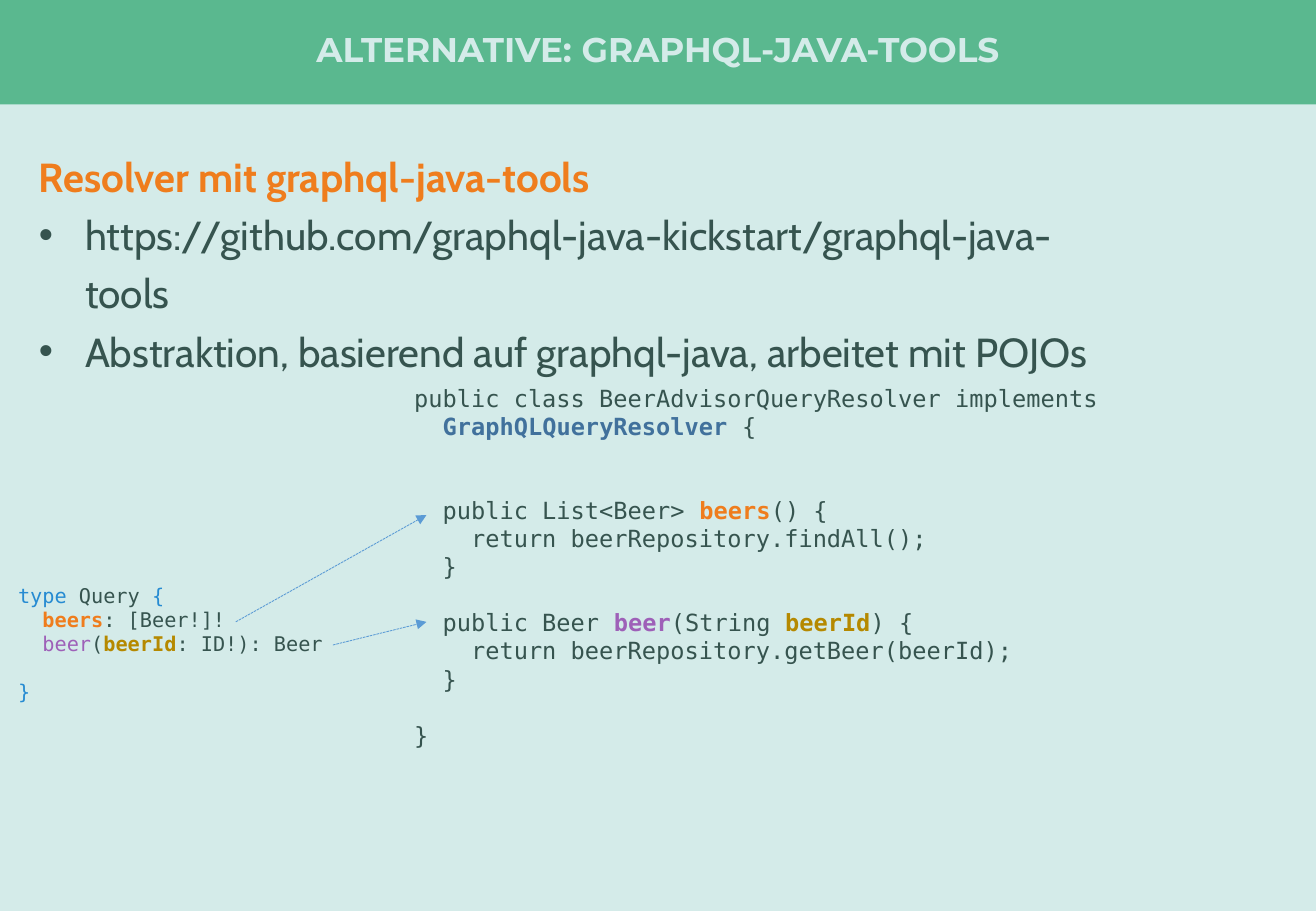
from lxml import etree
from pptx import Presentation
from pptx import util as u
from pptx.dml import color
from pptx.enum import dml, shapes, text
from pptx.oxml import ns

MINT = color.RGBColor(0xD4, 0xEB, 0xE9)
GREEN = color.RGBColor(0x5A, 0xB8, 0x8F)
ORANGE = color.RGBColor(0xEF, 0x7D, 0x1D)
DARK = color.RGBColor(0x36, 0x54, 0x4F)
BLUE = color.RGBColor(0x26, 0x8B, 0xD2)
STEEL = color.RGBColor(0x41, 0x71, 0x9C)
PURPLE = color.RGBColor(0x9E, 0x60, 0xB8)
GOLD = color.RGBColor(0xB5, 0x89, 0x00)
ARROW = color.RGBColor(0x5B, 0x9B, 0xD5)


def add_span(para, words, font="DejaVu Sans Mono", size=14, shade=DARK, bold=False):
    span = para.add_run()
    span.text = words
    span.font.name = font
    span.font.size = u.Pt(size)
    span.font.color.rgb = shade
    span.font.bold = bold


def place(box, left, top, width, height):
    box.left, box.top = u.Inches(left), u.Inches(top)
    box.width, box.height = u.Inches(width), u.Inches(height)


deck = Presentation()
deck.slide_width, deck.slide_height = u.Inches(10.83), u.Inches(7.5)
page = deck.slides.add_slide(deck.slide_layouts[1])
page.background.fill.solid()
page.background.fill.fore_color.rgb = MINT

band = page.shapes.add_shape(shapes.MSO_SHAPE.RECTANGLE, 0, 0, deck.slide_width, u.Inches(0.86))
band.shadow.inherit = False
band.fill.solid()
band.fill.fore_color.rgb = GREEN
band.line.fill.background()
page.shapes.title._element.addprevious(band._element)

title = page.shapes.title
place(title, 0, 0, 10.83, 0.85)
frame = title.text_frame
frame.margin_left = frame.margin_right = frame.margin_top = frame.margin_bottom = 0
frame.vertical_anchor = text.MSO_ANCHOR.MIDDLE
frame.auto_size = text.MSO_AUTO_SIZE.NONE
para = frame.paragraphs[0]
para.alignment = text.PP_ALIGN.CENTER
para.line_spacing = 0.9
add_span(para, "ALTERNATIVE: GRAPHQL-JAVA-TOOLS", font="Montserrat", size=20.3, shade=MINT, bold=True)

body = page.placeholders[1]
place(body, 0.22, 1.12, 9.19, 2.02)
frame = body.text_frame
frame.auto_size = text.MSO_AUTO_SIZE.NONE
points = [
    "Resolver mit graphql-java-tools",
    "https://github.com/graphql-java-kickstart/graphql-java-tools",
    "Abstraktion, basierend auf graphql-java, arbeitet mit POJOs",
]
for index, point in enumerate(points):
    heading = index == 0
    para = frame.paragraphs[0] if heading else frame.add_paragraph()
    para.line_spacing = 1.2
    para.space_before = u.Pt(0)
    indent = 0 if heading else u.Inches(0.38)
    settings = para._p.get_or_add_pPr()
    settings.set("marL", str(indent))
    settings.set("indent", str(-indent))
    if heading:
        etree.SubElement(settings, ns.qn("a:buNone"))
    else:
        etree.SubElement(settings, ns.qn("a:buFont"), typeface="Arial")
        etree.SubElement(settings, ns.qn("a:buChar"), char="•")
    add_span(para, point, font="Cabin", size=24, shade=ORANGE if heading else DARK, bold=heading)

schema = [
    (0, [("type ", BLUE, False), ("Query ", DARK, False), ("{", BLUE, False)]),
    (0, [("  ", DARK, False), ("beers", ORANGE, True), (": [Beer!]!", DARK, False)]),
    (0, [("  ", DARK, False), ("beer", PURPLE, False), ("(", DARK, False),
         ("beerId", GOLD, True), (": ID!): Beer", DARK, False)]),
    (1, [("}", BLUE, False)]),
]
resolver = [
    (0, [("public class BeerAdvisorQueryResolver implements", DARK, False)]),
    (0, [("  ", DARK, False), ("GraphQLQueryResolver", STEEL, True), (" {", DARK, False)]),
    (2, [("  public List<Beer> ", DARK, False), ("beers", ORANGE, True), ("() {", DARK, False)]),
    (0, [("    return beerRepository.findAll();", DARK, False)]),
    (0, [("  }", DARK, False)]),
    (1, [("  public Beer ", DARK, False), ("beer", PURPLE, True), ("(String ", DARK, False),
         ("beerId", GOLD, True), (") {", DARK, False)]),
    (0, [("    return beerRepository.getBeer(beerId);", DARK, False)]),
    (0, [("  }", DARK, False)]),
    (1, [("}", DARK, False)]),
]
listings = [
    (schema, 12, (0.05, 4.75, 2.89, 1.11)),
    (resolver, 14, (3.31, 3.11, 7.32, 3.16)),
]
for lines, size, area in listings:
    box = page.shapes.add_textbox(*[u.Inches(length) for length in area])
    frame = box.text_frame
    frame.word_wrap = True
    for index, (gap_lines, spans) in enumerate(lines):
        para = frame.add_paragraph() if index else frame.paragraphs[0]
        para.space_before = u.Pt(round(gap_lines * size * 1.164, 1))
        for words, shade, bold in spans:
            add_span(para, words, size=size, shade=shade, bold=bold)

for ends in [(1.94, 5.12, 3.51, 4.24), (2.74, 5.31, 3.51, 5.12)]:
    arrow = page.shapes.add_connector(shapes.MSO_CONNECTOR.STRAIGHT, *[u.Inches(end) for end in ends])
    arrow.line.color.rgb = ARROW
    arrow.line.width = u.Pt(0.5)
    arrow.line.dash_style = dml.MSO_LINE.SQUARE_DOT
    properties = arrow._element.spPr
    etree.SubElement(properties.find(ns.qn("a:ln")), ns.qn("a:tailEnd"), type="triangle")
    etree.SubElement(properties, ns.qn("a:effectLst"))

deck.save("out.pptx")
